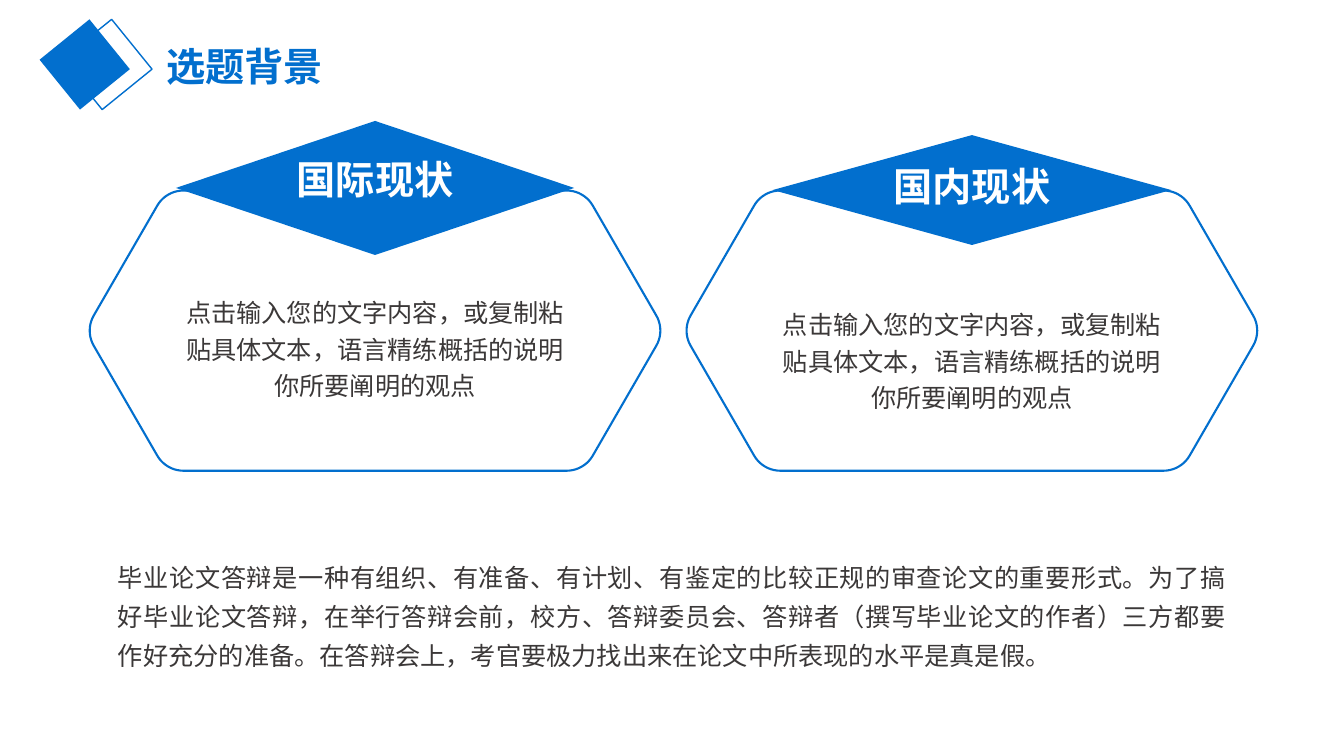
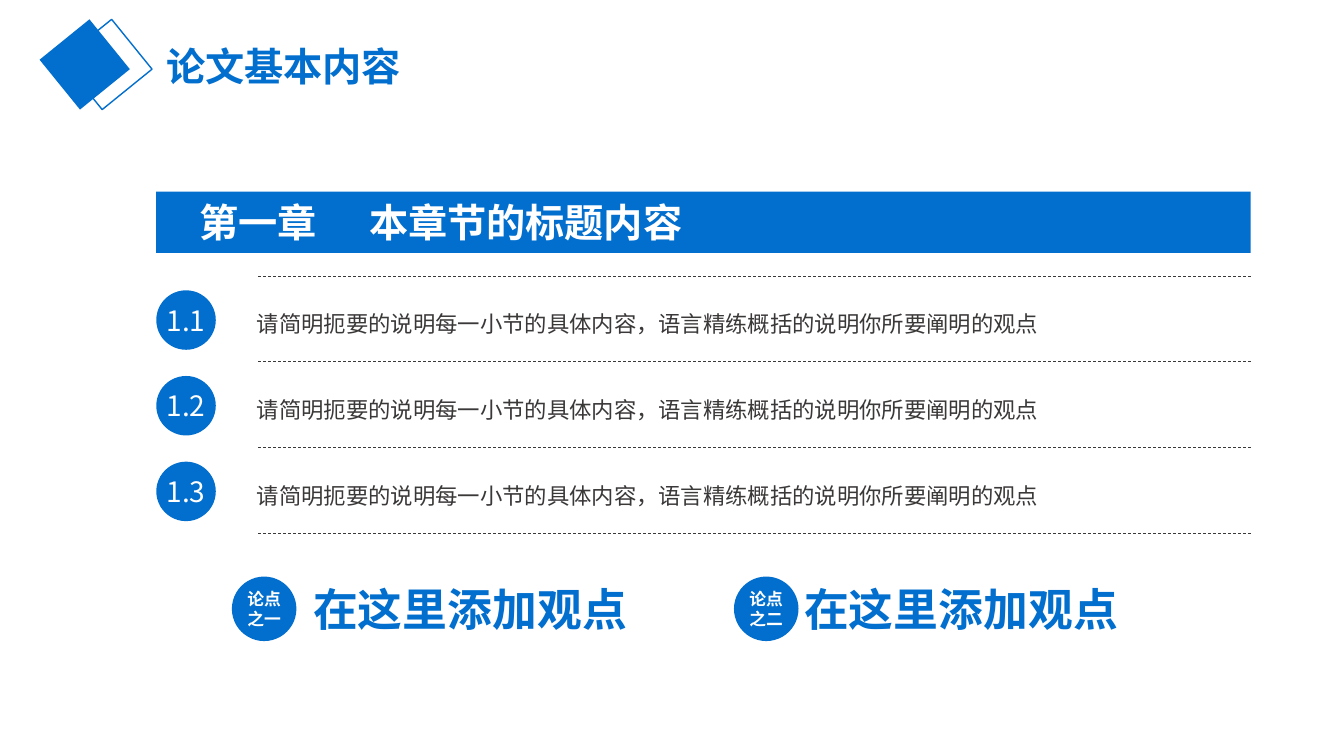
from dataclasses import dataclass
from math import cos, radians, sin

from lxml.etree import SubElement
from pptx import Presentation
from pptx.dml.color import RGBColor as RGB
from pptx.enum.dml import MSO_LINE
from pptx.enum.shapes import MSO_CONNECTOR as CONN, MSO_SHAPE as SHAPE
from pptx.enum.text import MSO_ANCHOR as ANCHOR, PP_ALIGN as ALIGN
from pptx.oxml.ns import qn
from pptx.util import Inches, Pt

# Content
BACKGROUND_TITLE = "选题背景"
CARD_TEXT = "点击输入您的文字内容，或复制粘贴具体文本，语言精练概括的说明你所要阐明的观点"
# heading, card centre x, diamond centre y, diamond height, heading y, body y
CARDS = [
    ("国际现状", 37.2, 18.65, 13.3, 15.4, 28.9),
    ("国内现状", 96.4, 18.85, 10.9, 16.1, 30.1),
]
SUMMARY = (
    "毕业论文答辩是一种有组织、有准备、有计划、有鉴定的比较正规的审查论文的重要形式。"
    "为了搞好毕业论文答辩，在举行答辩会前，校方、答辩委员会、答辩者（撰写毕业论文的作者）"
    "三方都要作好充分的准备。在答辩会上，考官要极力找出来在论文中所表现的水平是真是假。"
)

CONTENT_TITLE = "论文基本内容"
CHAPTER, CHAPTER_TITLE = "第一章", "本章节的标题内容"
SECTION_TEXT = "请简明扼要的说明每一小节的具体内容，语言精练概括的说明你所要阐明的观点"
SECTIONS = [(number, SECTION_TEXT) for number in ("1.1", "1.2", "1.3")]
# badge, badge x, claim, claim x
POINTS = [
    ("论点之一", 23, "在这里添加观点", 30.5),
    ("论点之二", 72.8, "在这里添加观点", 79.2),
]


@dataclass(frozen=True)
class Theme:
    font: str = "Noto Sans CJK SC"
    blue: RGB = RGB(0x02, 0x6F, 0xCE)
    ink: RGB = RGB(0x3B, 0x38, 0x38)
    white: RGB = RGB(0xFF, 0xFF, 0xFF)
    claim: int = 32
    heading: int = 28
    number: int = 20
    body: int = 18
    section: int = 16
    badge: int = 12


T = Theme()
CELL = Inches(0.1)  # square grid: 133.3 columns by 75 rows


def grid(*cells):
    return [round(c * CELL) for c in cells]


# Building blocks
def put_text(sp, text, size, color, bold=False, align=ALIGN.LEFT,
             anchor=ANCHOR.TOP, spacing=None, insets=(0, 0, 0, 0)):
    tf = sp.text_frame
    tf.word_wrap = True
    tf.vertical_anchor = anchor
    (tf.margin_left, tf.margin_top,
     tf.margin_right, tf.margin_bottom) = grid(*insets)
    p = tf.paragraphs[0]
    p.text = text
    p.alignment = align
    p.line_spacing = spacing
    font = p.runs[0].font
    font.size, font.bold, font.name = Pt(size), bold, T.font
    font.color.rgb = color
    SubElement(p.runs[0]._r.rPr, qn("a:ea"), typeface=T.font)


def add_text(s, box, text, size, color, **style):
    put_text(s.shapes.add_textbox(*grid(*box)), text, size, color, **style)


def paint(sp, fill=None, line=None, width=1.0):
    sp.shadow.inherit = False
    if fill is None:
        sp.fill.background()
    else:
        sp.fill.solid()
        sp.fill.fore_color.rgb = fill
    if line is None:
        sp.line.fill.background()
    else:
        sp.line.color.rgb = line
        sp.line.width = Pt(width)


def add_shape(s, kind, box, fill=T.blue, line=None):
    sp = s.shapes.add_shape(kind, *grid(*box))
    paint(sp, fill, line)
    return sp


def add_disc(s, x, y, size, text, type_size, bold=False):
    sp = add_shape(s, SHAPE.OVAL, (x, y, size, size))
    put_text(sp, text, type_size, T.white, bold=bold,
             align=ALIGN.CENTER, anchor=ANCHOR.MIDDLE)


def add_rule(s, x1, x2, y):
    x1, x2, y = grid(x1, x2, y)
    line = s.shapes.add_connector(CONN.STRAIGHT, x1, y, x2, y)
    line.line.color.rgb = T.ink
    line.line.width = Pt(0.5)
    line.line.dash_style = MSO_LINE.DASH
    SubElement(line._element.spPr, qn("a:effectLst"))


def add_round_hexagon(s, cx, cy, radius=3):
    # One 60 degree arc per corner, clockwise from the upper right
    centres = [(19, -10.9), (25.3, 0), (19, 10.9),
               (-19, 10.9), (-25.3, 0), (-19, -10.9)]
    points = []
    for i, (dx, dy) in enumerate(centres):
        for step in range(0, 61, 6):
            a = radians(60 * i - 90 + step)
            points.append(grid(cx + dx + radius * cos(a),
                               cy + dy + radius * sin(a)))
    outline = s.shapes.build_freeform(*points[0])
    outline.add_line_segments(points[1:], close=True)
    paint(outline.convert_to_shape(), line=T.blue, width=1.5)


def new_slide(prs, title):
    s = prs.slides.add_slide(prs.slide_layouts[6])
    for x, fill, line in ((6.1, None, T.blue), (3.9, T.blue, None)):
        add_shape(s, SHAPE.DIAMOND, (x, 1.9, 9, 9), fill, line).rotation = 96
    add_text(s, (15.5, 4.2, 49.4, 6.8), title, T.heading, T.blue,
             bold=True, spacing=0.9, insets=(1, 0.5, 1, 0.5))
    return s


# Slides
def background_slide(prs):
    s = new_slide(prs, BACKGROUND_TITLE)
    width, heading_width = 39.5, 20.4
    for heading, cx, diamond_cy, diamond_h, heading_y, body_y in CARDS:
        left = cx - width / 2
        add_round_hexagon(s, cx, 32.8)
        add_shape(s, SHAPE.DIAMOND,
                  (left, diamond_cy - diamond_h / 2, width, diamond_h))
        add_text(s, (cx - heading_width / 2, heading_y, heading_width, 4.7),
                 heading, T.heading, T.white, bold=True, align=ALIGN.CENTER)
        add_text(s, (left, body_y, width, 10.9), CARD_TEXT, T.body, T.ink,
                 align=ALIGN.CENTER, spacing=Pt(26))
    add_text(s, (11.7, 54.9, 109.9, 11.8), SUMMARY, T.body, T.ink,
             align=ALIGN.JUSTIFY, spacing=Pt(28))


def content_slide(prs):
    s = new_slide(prs, CONTENT_TITLE)
    left, right, rule_left = 15.5, 124.05, 25.6
    top, pitch = 27.4, 8.5

    # Chapter band
    band = add_shape(s, SHAPE.RECTANGLE, (left, 19, right - left, 6.1))
    band_style = dict(bold=True, anchor=ANCHOR.MIDDLE)
    put_text(band, CHAPTER, T.heading, T.white,
             insets=(4.3, 0, 0, 0), **band_style)
    add_text(s, (35, 19, 71.1, 6.1), CHAPTER_TITLE, T.heading, T.white,
             insets=(1.6, 0, 0, 0), **band_style)

    # Sections between dashed rules
    add_rule(s, rule_left, right, top)
    for i, (number, text) in enumerate(SECTIONS):
        y = top + i * pitch
        add_disc(s, left, y + 1.4, 5.9, number, T.number)
        add_text(s, (24.5, y + 2.5, 81.6, 3.9), text, T.section, T.ink,
                 spacing=Pt(22), insets=(1, 0.5, 1, 0.5))
        add_rule(s, rule_left, right, y + pitch)

    # Points
    for badge, badge_x, claim, claim_x in POINTS:
        add_disc(s, badge_x, 57.2, 6.4, badge, T.badge, bold=True)
        add_text(s, (claim_x, 57.7, 31.7, 5.4), claim, T.claim, T.blue,
                 bold=True, align=ALIGN.RIGHT)


def main():
    prs = Presentation()
    prs.slide_width, prs.slide_height = Inches(13.33), Inches(7.5)
    background_slide(prs)
    content_slide(prs)
    prs.save("out.pptx")


if __name__ == "__main__":
    main()
